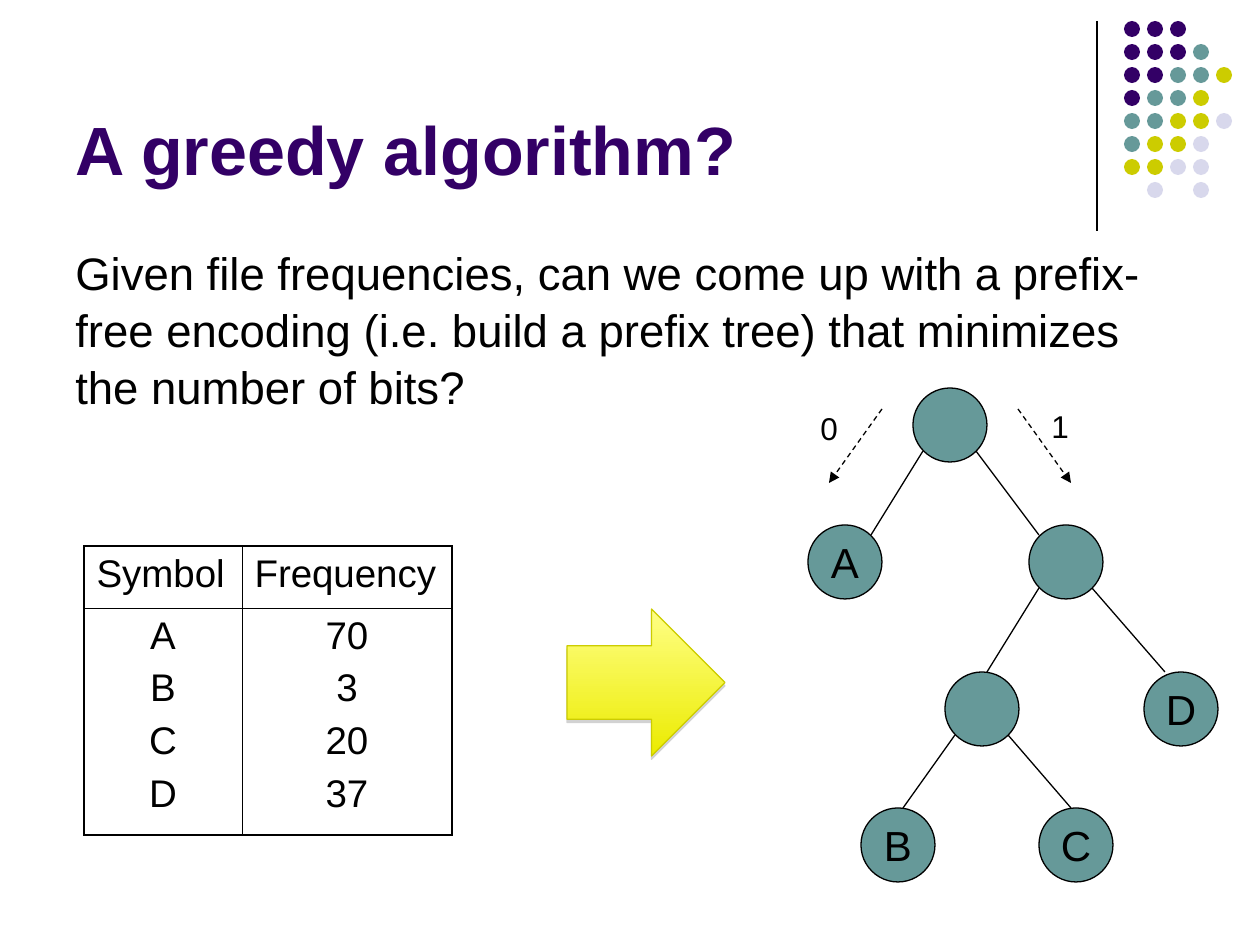
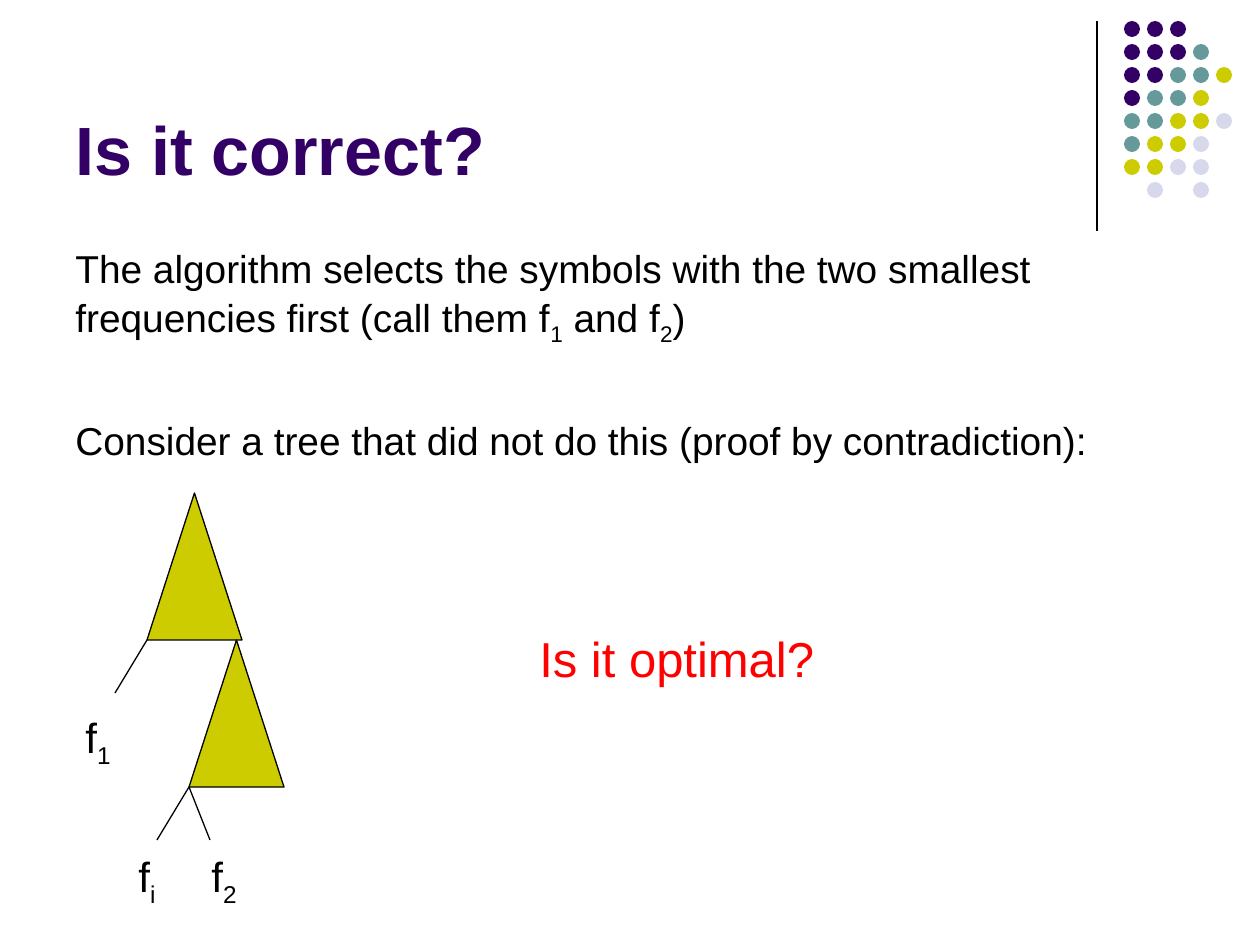
from lxml import etree
from pptx import Presentation
from pptx.dml.color import RGBColor
from pptx.enum.dml import MSO_LINE_DASH_STYLE as DASH
from pptx.enum.shapes import MSO_CONNECTOR as CONNECTOR, MSO_SHAPE as SHAPE
from pptx.enum.text import MSO_ANCHOR as ANCHOR, PP_ALIGN as ALIGN
from pptx.oxml.ns import qn
from pptx.util import Emu, Pt

PX = 914400 / 126
FONT = "Arial"
BLACK, PURPLE, TEAL, OLIVE, LILAC, RED = (
    "000000", "330066", "669999", "CCCC00", "D8D8EC", "FF0000")
DOT_COLORS = {"P": PURPLE, "T": TEAL, "O": OLIVE, "L": LILAC}
DOT_ROWS = ["PPP", "PPPT", "PPTTO", "PTTO", "TTOOL", "TOOL", "OOLL", " L L"]
NODE_SIZE = 74


def px(*lengths):
    return [Emu(round(length * PX)) for length in lengths]


def color(value):
    return RGBColor.from_string(value)


def add_element(parent, tag, **attributes):
    return etree.SubElement(parent, qn(tag), attributes)


def style_paragraph(para, size, ink=BLACK, bold=False, align=ALIGN.LEFT):
    para.alignment = align
    para.font.name = FONT
    para.font.size = Pt(size)
    para.font.bold = bold
    para.font.color.rgb = color(ink)


def add_spans(para, parts):
    for index, part in enumerate(parts):
        span = para.add_run()
        span.text = part
        if index % 2:
            span.font._element.set("baseline", "-25000")


def add_text(page, place, paragraphs, size, ink=BLACK, bold=False,
             anchor=ANCHOR.TOP, gap=0, wrap=True, leading=1.04):
    frame = page.shapes.add_textbox(*px(*place)).text_frame
    frame.word_wrap = wrap
    frame.vertical_anchor = anchor
    for index, parts in enumerate(paragraphs):
        para = frame.add_paragraph() if index else frame.paragraphs[0]
        add_spans(para, parts)
        para.line_spacing = leading
        para.space_before = Pt(gap if index else 0)
        style_paragraph(para, size, ink, bold)


def add_shape(shapes, kind, place, fill, line=BLACK):
    shape = shapes.add_shape(kind, *px(*place))
    shape.shadow.inherit = False
    shape.fill.solid()
    shape.fill.fore_color.rgb = color(fill)
    if line:
        shape.line.color.rgb = color(line)
        shape.line.width = Pt(0.75)
    else:
        shape.line.fill.background()
    return shape


def add_line(page, start, end, arrow=False):
    line = page.shapes.add_connector(CONNECTOR.STRAIGHT, *px(*start, *end))
    line.line.color.rgb = color(BLACK)
    line.line.width = Pt(0.75)
    if arrow:
        line.line.dash_style = DASH.DASH
        add_element(line.line._get_or_add_ln(), "a:tailEnd", type="triangle")
    add_element(line._element.spPr, "a:effectLst")


def add_page(deck, title):
    page = deck.slides.add_slide(deck.slide_layouts[6])
    add_line(page, (1097, 21), (1097, 231))
    dots = page.shapes.add_group_shape().shapes
    for row, codes in enumerate(DOT_ROWS):
        for column, code in enumerate(codes):
            if code in DOT_COLORS:
                place = (1124 + 23 * column, 21 + 23 * row, 16, 16)
                add_shape(dots, SHAPE.OVAL, place, DOT_COLORS[code], None)
    add_text(page, (63, 16, 1040, 179), [[title]], 39, PURPLE, True,
             ANCHOR.BOTTOM, leading=1)
    return page


def add_node(page, left, top, label):
    node = add_shape(page.shapes, SHAPE.OVAL, (left, top, NODE_SIZE, NODE_SIZE), TEAL)
    if label:
        frame = node.text_frame
        frame.margin_left = frame.margin_right = 0
        frame.margin_top = frame.margin_bottom = 0
        frame.vertical_anchor = ANCHOR.MIDDLE
        add_spans(frame.paragraphs[0], [label])
        style_paragraph(frame.paragraphs[0], 24, align=ALIGN.CENTER)


def add_prefix_tree(page):
    nodes = {
        "root": (913, 388, ""), "A": (808, 525, "A"), "right": (1029, 525, ""),
        "inner": (945, 672, ""), "B": (861, 808, "B"), "C": (1039, 808, "C"),
        "D": (1144, 672, "D"),
    }
    edges = [
        ("root", 10, "A", 63, 10), ("root", 63, "right", 10, 10),
        ("right", 10, "inner", 42, 0), ("inner", 10, "B", 42, 0),
        ("inner", 63, "C", 32, 0), ("right", 63, "D", 21, 0),
    ]
    for node in nodes.values():
        add_node(page, *node)
    for parent, start_x, child, end_x, end_y in edges:
        left, top, _ = nodes[parent]
        child_left, child_top, _ = nodes[child]
        add_line(page, (left + start_x, top + 63),
                 (child_left + end_x, child_top + end_y))
    for bit, start_x, end_x, label_x, label_y in [
            ("0", 882, 829, 808, 401), ("1", 1018, 1071, 1039, 399)]:
        add_line(page, (start_x, 409), (end_x, 483), arrow=True)
        add_text(page, (label_x, label_y, 53, 50), [[bit]], 18)


def set_borders(cell, row, column):
    properties = cell._tc.get_or_add_tcPr()
    outer = {"a:lnL": column == 0, "a:lnR": column == 1,
             "a:lnT": row == 0, "a:lnB": row == 1}
    for position, (tag, is_outer) in enumerate(outer.items()):
        line = etree.Element(qn(tag), w=str(Pt(1.08 if is_outer else 0.45)))
        add_element(add_element(line, "a:solidFill"), "a:srgbClr", val=BLACK)
        properties.insert(position, line)


def add_frequency_table(page):
    rows = [
        [["Symbol"], ["Frequency"]],
        [["A", "B", "C", "D"], ["70", "3", "20", "37"]],
    ]
    table = page.shapes.add_table(2, 2, *px(84, 546, 368, 289)).table
    table.first_row = table.horz_banding = False
    for column, width in zip(table.columns, px(158, 210)):
        column.width = width
    for row, height in zip(table.rows, px(62, 227)):
        row.height = height
    for row, cells in enumerate(rows):
        for column, lines in enumerate(cells):
            cell = table.cell(row, column)
            cell.fill.background()
            set_borders(cell, row, column)
            for index, text in enumerate(lines):
                frame = cell.text_frame
                para = frame.add_paragraph() if index else frame.paragraphs[0]
                add_spans(para, [text])
                para.space_before = Pt(5.5 if index else 0)
                style_paragraph(para, 22, align=ALIGN.CENTER if row else ALIGN.LEFT)


def add_block_arrow(page):
    arrow = add_shape(page.shapes, SHAPE.RIGHT_ARROW, (567, 609, 158, 147), OLIVE, OLIVE)
    arrow.fill.gradient()
    arrow.fill.gradient_angle = 270
    for stop, position, ink in zip(arrow.fill.gradient_stops, (0, 1), ("FFFF85", "EBEB00")):
        stop.position = position
        stop.color.rgb = color(ink)
    effects = arrow._element.spPr.find(qn("a:effectLst"))
    shadow = add_element(effects, "a:outerShdw", blurRad="0", dist=str(Pt(1.8)),
                         dir="5400000", rotWithShape="0")
    tint = add_element(shadow, "a:srgbClr", val="808080")
    add_element(tint, "a:alpha", val="35000")


def build_greedy_page(deck):
    page = add_page(deck, "A greedy algorithm?")
    question = ("Given file frequencies, can we come up with a prefix-free encoding "
                "(i.e. build a prefix tree) that minimizes the number of bits?")
    add_text(page, (63, 237, 1134, 204), [[question]], 26)
    add_prefix_tree(page)
    add_frequency_table(page)
    add_block_arrow(page)


def build_proof_page(deck):
    page = add_page(deck, "Is it correct?")
    add_text(page, (63, 237, 1134, 236), [
        ["The algorithm selects the symbols with the two smallest frequencies "
         "first (call them f", "1", " and f", "2", ")"],
        ["Consider a tree that did not do this (proof by contradiction):"],
    ], 22.2, gap=39)
    for left, top in [(147, 493), (189, 640)]:
        add_shape(page.shapes, SHAPE.ISOSCELES_TRIANGLE, (left, top, 95, 147), OLIVE)
        add_line(page, (left, top + 147), (left - 32, top + 200))
    add_line(page, (189, 787), (210, 840))
    for left, top, index in [(73, 703, "1"), (126, 842, "i"), (199, 842, "2")]:
        add_text(page, (left, top, 73, 71), [["f", index]], 24)
    add_text(page, (527, 620, 300, 72), [["Is it optimal?"]], 28, RED, wrap=False)


def main():
    deck = Presentation()
    deck.slide_width, deck.slide_height = px(1260, 945)
    build_greedy_page(deck)
    build_proof_page(deck)
    deck.save("out.pptx")


if __name__ == "__main__":
    main()
